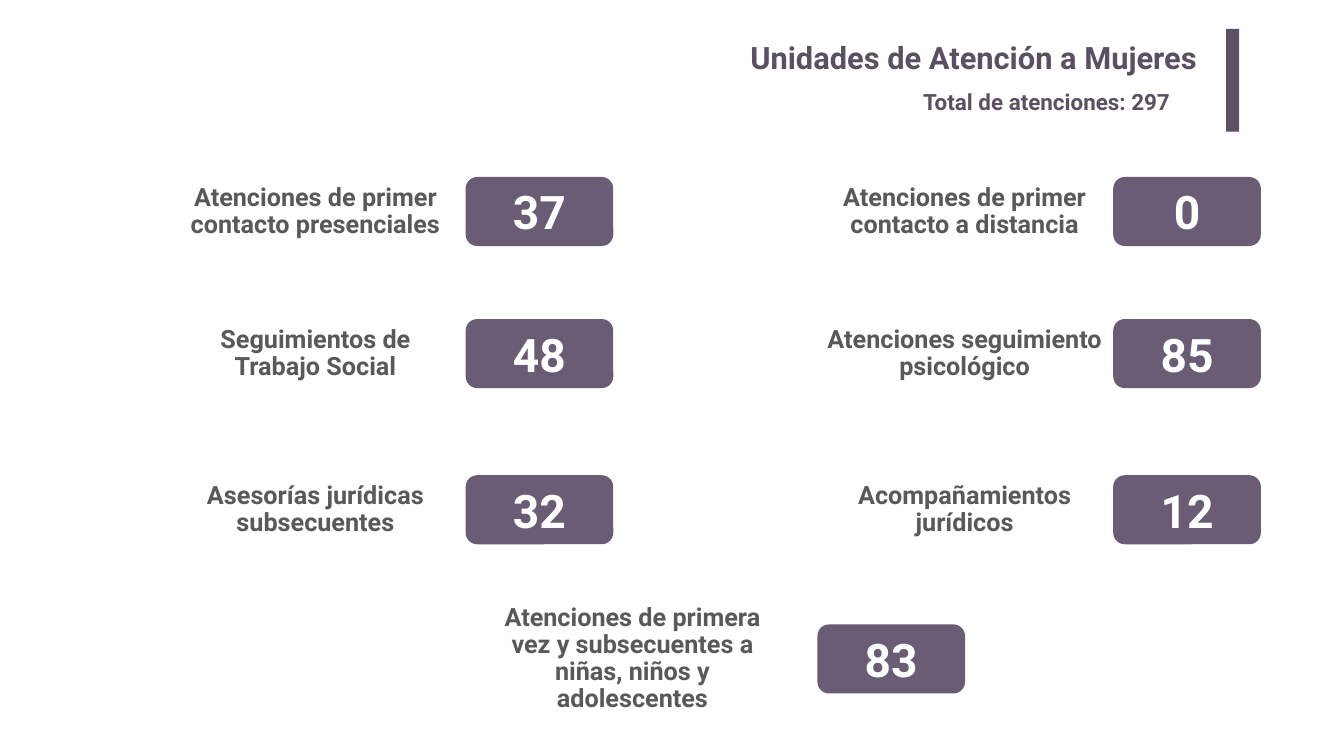
from pptx import Presentation
from pptx.dml.color import RGBColor
from pptx.enum.shapes import MSO_SHAPE
from pptx.enum.text import MSO_ANCHOR, PP_ALIGN
from pptx.util import Cm, Pt

COLORS = {"heading": "5B4F63", "badge": "6A5C74", "label": "595959", "number": "FFFFFF"}
FONT = "Roboto"
BADGE_W, BADGE_H = 7.44, 3.48
LEFT, RIGHT, MIDDLE = (23.47, 7.57), (56.11, 7.49), (41.2, 9.32)
ROWS = [8.92, 16.08, 23.95, 31.47]
CARDS = [
    (LEFT, ROWS[0], "Atenciones de primer contacto presenciales", "37", (13.92, 3.48)),
    (RIGHT, ROWS[0], "Atenciones de primer contacto a distancia", "0", (13.11, 3.07)),
    (LEFT, ROWS[1], "Seguimientos de Trabajo Social", "48", (14.17, 3.58)),
    (RIGHT, ROWS[1], "Atenciones seguimiento psicológico", "85", (19.84, 1.35)),
    (LEFT, ROWS[2], "Asesorías jurídicas subsecuentes", "32", (15.37, 2.03)),
    (RIGHT, ROWS[2], "Acompañamientos jurídicos", "12", (16.4, 1.63)),
    (MIDDLE, ROWS[3], "Atenciones de primera vez y subsecuentes a niñas, niños y adolescentes",
     "83", (15.24, 1.24)),
]


def write(sp, text, size, color, align, anchor=MSO_ANCHOR.MIDDLE):
    """Write one bold paragraph in a shape and return it."""
    tf = sp.text_frame
    tf.word_wrap = True
    tf.vertical_anchor = anchor
    p = tf.paragraphs[0]
    p.text = text
    p.alignment = align
    p.font.name, p.font.size, p.font.bold = FONT, Pt(size), True
    p.font.color.rgb = RGBColor.from_string(COLORS[color])
    return p


def add_block(s, kind, x, y, w, h, color):
    """Add a filled shape without line or shadow."""
    sp = s.shapes.add_shape(kind, Cm(x), Cm(y), Cm(w), Cm(h))
    sp.shadow.inherit = False
    sp.fill.solid()
    sp.fill.fore_color.rgb = RGBColor.from_string(COLORS[color])
    sp.line.fill.background()
    return sp


def add_header(s, x, y):
    """Add the title, the total and the accent bar."""
    title = s.shapes.add_textbox(Cm(x), Cm(y + 0.25), Cm(51.56), Cm(2.59))
    tf = title.text_frame
    tf.margin_left = tf.margin_right = Cm(0.51)
    tf.margin_top = tf.margin_bottom = Cm(0.25)
    write(title, "Unidades de Atención a Mujeres", 44, "heading", PP_ALIGN.RIGHT, MSO_ANCHOR.TOP)
    total = s.shapes.add_textbox(Cm(x + 36.98), Cm(y + 2.89), Cm(15.04), Cm(1.63))
    write(total, "Total de atenciones: 297", 32, "heading", PP_ALIGN.LEFT, MSO_ANCHOR.TOP)
    add_block(s, MSO_SHAPE.RECTANGLE, x + 52.5, y, 0.66, 5.18, "heading")


def add_card(s, column, y, label, number, size):
    """Add a numbered badge with its label centred to the left."""
    x, offset = column
    w, h = size
    sp = add_block(s, MSO_SHAPE.ROUNDED_RECTANGLE, x, y, BADGE_W, BADGE_H, "badge")
    write(sp, number, 66, "number", PP_ALIGN.CENTER)
    box = s.shapes.add_textbox(
        Cm(x - offset - w / 2), Cm(y + (BADGE_H - h) / 2), Cm(w), Cm(h))
    p = write(box, label, 36, "label", PP_ALIGN.CENTER)
    p.line_spacing = 0.9


def main():
    """Build and save the slide."""
    prs = Presentation()
    prs.slide_width, prs.slide_height = Cm(67.74), Cm(38.1)
    s = prs.slides.add_slide(prs.slide_layouts[6])
    add_header(s, 9.3, 1.45)
    for card in CARDS:
        add_card(s, *card)
    prs.save("out.pptx")


if __name__ == "__main__":
    main()
